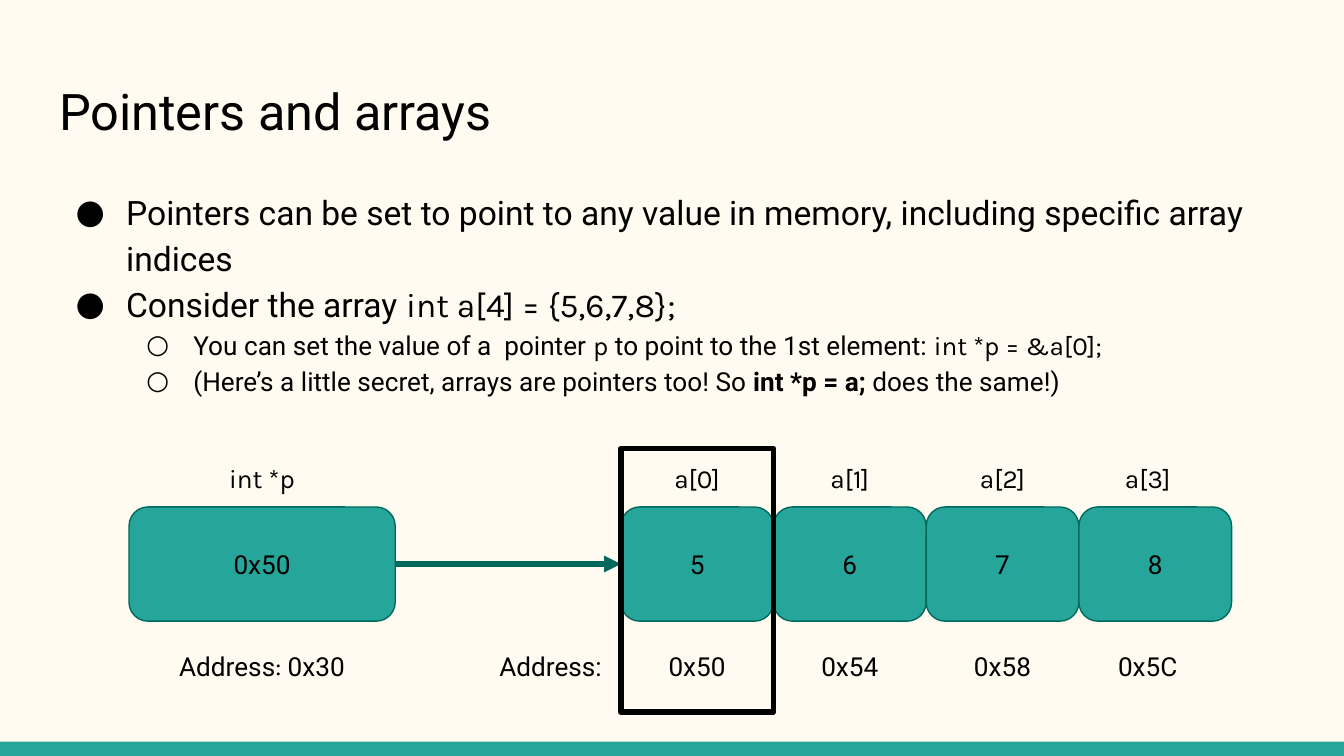
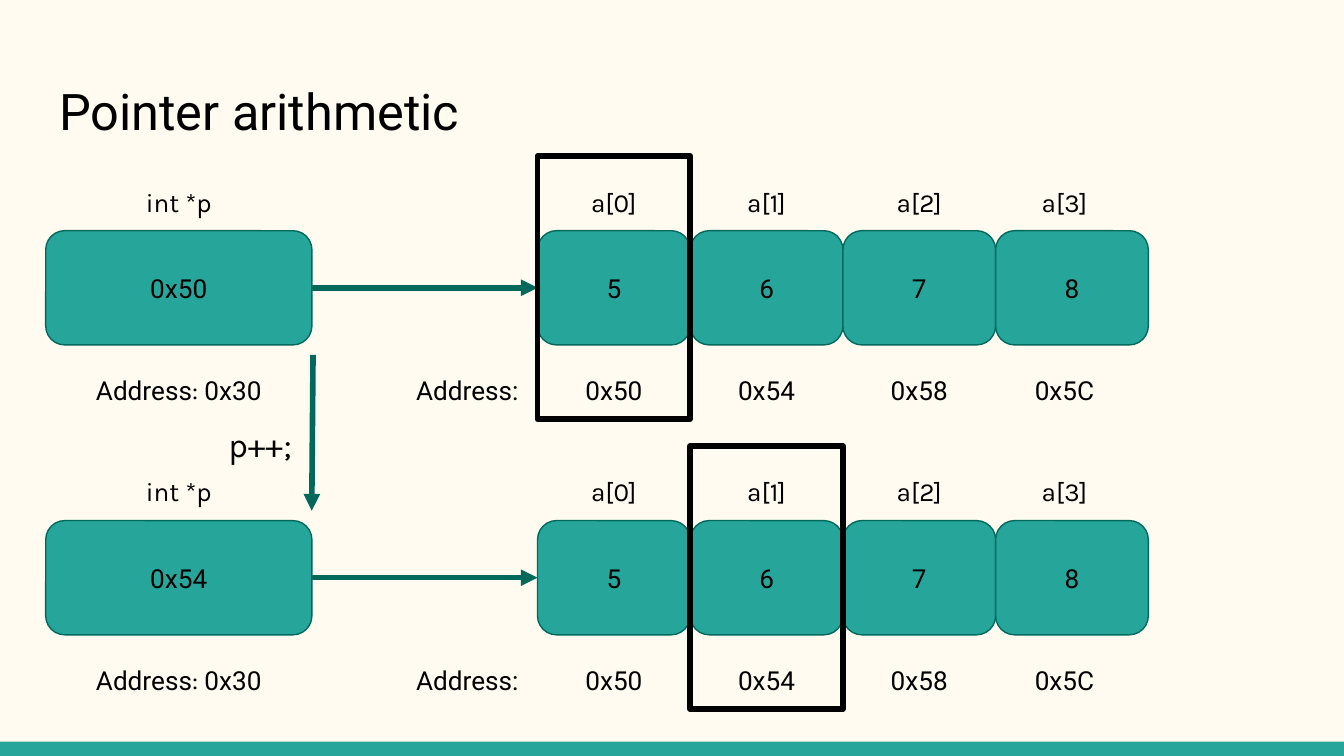
from lxml.etree import SubElement
from pptx import Presentation
from pptx.dml.color import RGBColor
from pptx.enum.shapes import MSO_CONNECTOR, MSO_SHAPE
from pptx.enum.text import MSO_ANCHOR, PP_ALIGN
from pptx.oxml.ns import qn
from pptx.util import Pt

# Shared style
CREAM = RGBColor(0xFF, 0xFB, 0xF0)
TEAL = RGBColor(0x26, 0xA6, 0x9A)
DARK_TEAL = RGBColor(0x00, 0x69, 0x5C)
BLACK = RGBColor(0, 0, 0)
SANS, CODE = "Roboto", "Karla"
SLIDE_WIDTH, SLIDE_HEIGHT = 720, 405
BAND_HEIGHT = 7.7
MARGIN = 24.5
CONTENT_WIDTH = SLIDE_WIDTH - 2 * MARGIN
INSET = 7.2

# Memory diagram measures, relative to its top left corner
POINTER_WIDTH, CELL_WIDTH, BOX_HEIGHT = 142.6, 81.8, 61.2
ARRAY_LEFT = 263.5
BOX_TOP, ADDRESS_TOP = 31.2, 100.8
LABEL_WIDTH, LABEL_HEIGHT = 117.4, 31.5
ADDRESS_CAPTION_CENTER = 225.9
LAST_LABEL_SHIFT = -4
FRAME_HEIGHT = 141
VALUES = ["5", "6", "7", "8"]
ADDRESSES = ["0x50", "0x54", "0x58", "0x5C"]


def add_run(paragraph, text, size, font=SANS, bold=False):
    run = paragraph.add_run()
    run.text = text
    run.font.size = Pt(size)
    run.font.name = font
    run.font.bold = bold
    run.font.color.rgb = BLACK


def set_frame(shape, anchor=MSO_ANCHOR.TOP):
    frame = shape.text_frame
    frame.word_wrap = True
    frame.vertical_anchor = anchor
    frame.margin_left = frame.margin_right = Pt(INSET)
    frame.margin_top = frame.margin_bottom = Pt(INSET)
    return frame


def add_text_box(slide, left, top, width, height):
    box = slide.shapes.add_textbox(Pt(left), Pt(top), Pt(width), Pt(height))
    return set_frame(box)


def add_box(slide, kind, left, top, width, height, fill=None, line=None, weight=0.75):
    shape = slide.shapes.add_shape(kind, Pt(left), Pt(top), Pt(width), Pt(height))
    shape.shadow.inherit = False
    if fill is None:
        shape.fill.background()
    else:
        shape.fill.solid()
        shape.fill.fore_color.rgb = fill
    if line is None:
        shape.line.fill.background()
    else:
        shape.line.color.rgb = line
        shape.line.width = Pt(weight)
    return shape


def add_arrow(slide, start_x, start_y, end_x, end_y):
    arrow = slide.shapes.add_connector(
        MSO_CONNECTOR.STRAIGHT, Pt(start_x), Pt(start_y), Pt(end_x), Pt(end_y))
    arrow.line.color.rgb = DARK_TEAL
    arrow.line.width = Pt(3)
    SubElement(arrow.line._get_or_add_ln(), qn("a:tailEnd"), type="triangle")
    SubElement(arrow._element.spPr, qn("a:effectLst"))


def add_titled_slide(presentation, title):
    slide = presentation.slides.add_slide(presentation.slide_layouts[5])
    slide.background.fill.solid()
    slide.background.fill.fore_color.rgb = CREAM
    add_box(slide, MSO_SHAPE.RECTANGLE, 0, SLIDE_HEIGHT - BAND_HEIGHT,
            SLIDE_WIDTH, BAND_HEIGHT, fill=TEAL)
    placeholder = slide.shapes.title
    placeholder.left, placeholder.top = Pt(MARGIN), Pt(35)
    placeholder.width, placeholder.height = Pt(CONTENT_WIDTH), Pt(48.5)
    paragraph = set_frame(placeholder, MSO_ANCHOR.MIDDLE).paragraphs[0]
    paragraph.alignment = PP_ALIGN.LEFT
    add_run(paragraph, title, 27)
    return slide


# Bulleted text
def add_bullets(slide, left, top, width, height, items):
    frame = add_text_box(slide, left, top, width, height)
    for index, (level, runs) in enumerate(items):
        paragraph = frame.paragraphs[0] if index == 0 else frame.add_paragraph()
        size, indent, symbol = ((18, 27, "●"), (14, 25.2, "○"))[level]
        paragraph.level = level
        paragraph.line_spacing = 1.15
        properties = paragraph._p.get_or_add_pPr()
        properties.set("marL", str(Pt(36 * (level + 1))))
        properties.set("indent", str(-Pt(indent)))
        color = SubElement(properties, qn("a:buClr"))
        SubElement(color, qn("a:srgbClr"), val=str(BLACK))
        SubElement(properties, qn("a:buFont"), typeface=SANS)
        SubElement(properties, qn("a:buChar"), char=symbol)
        for text, font, bold in runs:
            add_run(paragraph, text, size, font, bold)


# Memory diagram: a pointer, its arrow and a four-cell array
def add_label(slide, center, top, *runs):
    frame = add_text_box(slide, center - LABEL_WIDTH / 2, top, LABEL_WIDTH, LABEL_HEIGHT)
    paragraph = frame.paragraphs[0]
    paragraph.alignment = PP_ALIGN.CENTER
    for text, font in runs:
        add_run(paragraph, text, 14, font)


def add_memory_cell(slide, left, top, width, value):
    cell = add_box(slide, MSO_SHAPE.ROUNDED_RECTANGLE, left, top, width, BOX_HEIGHT,
                   fill=TEAL, line=DARK_TEAL)
    paragraph = set_frame(cell, MSO_ANCHOR.MIDDLE).paragraphs[0]
    paragraph.alignment = PP_ALIGN.CENTER
    add_run(paragraph, value, 14)


def add_memory_diagram(slide, left, top, target, frame_rise=0):
    box_top, address_top = top + BOX_TOP, top + ADDRESS_TOP
    array_left = left + ARRAY_LEFT
    pointer_center = left + POINTER_WIDTH / 2

    add_memory_cell(slide, left, box_top, POINTER_WIDTH, ADDRESSES[target])
    add_label(slide, pointer_center, top, ("int *p", CODE))
    add_label(slide, pointer_center, address_top,
              ("Address", SANS), (": ", CODE), ("0x30", SANS))
    add_label(slide, left + ADDRESS_CAPTION_CENTER, address_top, ("Address:", SANS))

    for index, (value, address) in enumerate(zip(VALUES, ADDRESSES)):
        cell_left = array_left + index * CELL_WIDTH
        center = cell_left + CELL_WIDTH / 2
        if index == len(VALUES) - 1:
            center += LAST_LABEL_SHIFT
        add_memory_cell(slide, cell_left, box_top, CELL_WIDTH, value)
        add_label(slide, center, top, (f"a[{index}]", CODE))
        add_label(slide, center, address_top, (address, SANS))

    arrow_y = box_top + BOX_HEIGHT / 2
    add_arrow(slide, left + POINTER_WIDTH, arrow_y, array_left, arrow_y)
    add_box(slide, MSO_SHAPE.RECTANGLE, array_left + target * CELL_WIDTH,
            top - frame_rise, CELL_WIDTH, FRAME_HEIGHT, line=BLACK, weight=3)


# Increment step between two diagrams
def add_increment(slide, left, top):
    paragraph = add_text_box(slide, left, top, 57, 39.6).paragraphs[0]
    paragraph.line_spacing = 1.15
    add_run(paragraph, "p++;", 18, CODE)
    add_arrow(slide, left + 52.5, top - 26.7, left + 51.8, top + 56.8)


def build_arrays_slide(presentation):
    slide = add_titled_slide(presentation, "Pointers and arrays")
    add_bullets(slide, MARGIN, 92.2, CONTENT_WIDTH, 268, [
        (0, [("Pointers can be set to point to any value in memory, "
              "including specific array indices", SANS, False)]),
        (0, [("Consider the array ", SANS, False),
             ("int a[4] = {5,6,7,8};", CODE, False)]),
        (1, [("You can set the value of a  pointer ", SANS, False),
             ("p", CODE, False),
             (" to point to the 1st element: ", SANS, False),
             ("int *p = &a[0];", CODE, False)]),
        (1, [("(Here’s a little secret, arrays are pointers too! So ", SANS, False),
             ("int *p = a;", SANS, True),
             (" does the same!)", SANS, False)]),
    ])
    add_memory_diagram(slide, 69.1, 240.4, target=0)


def build_arithmetic_slide(presentation):
    slide = add_titled_slide(presentation, "Pointer arithmetic")
    for target, top in enumerate((92.4, 247.7)):
        add_memory_diagram(slide, MARGIN, top, target, frame_rise=8.8)
    add_increment(slide, 115.2, 216.8)


def main():
    presentation = Presentation()
    presentation.slide_width = Pt(SLIDE_WIDTH)
    presentation.slide_height = Pt(SLIDE_HEIGHT)
    build_arrays_slide(presentation)
    build_arithmetic_slide(presentation)
    presentation.save("out.pptx")


if __name__ == "__main__":
    main()
